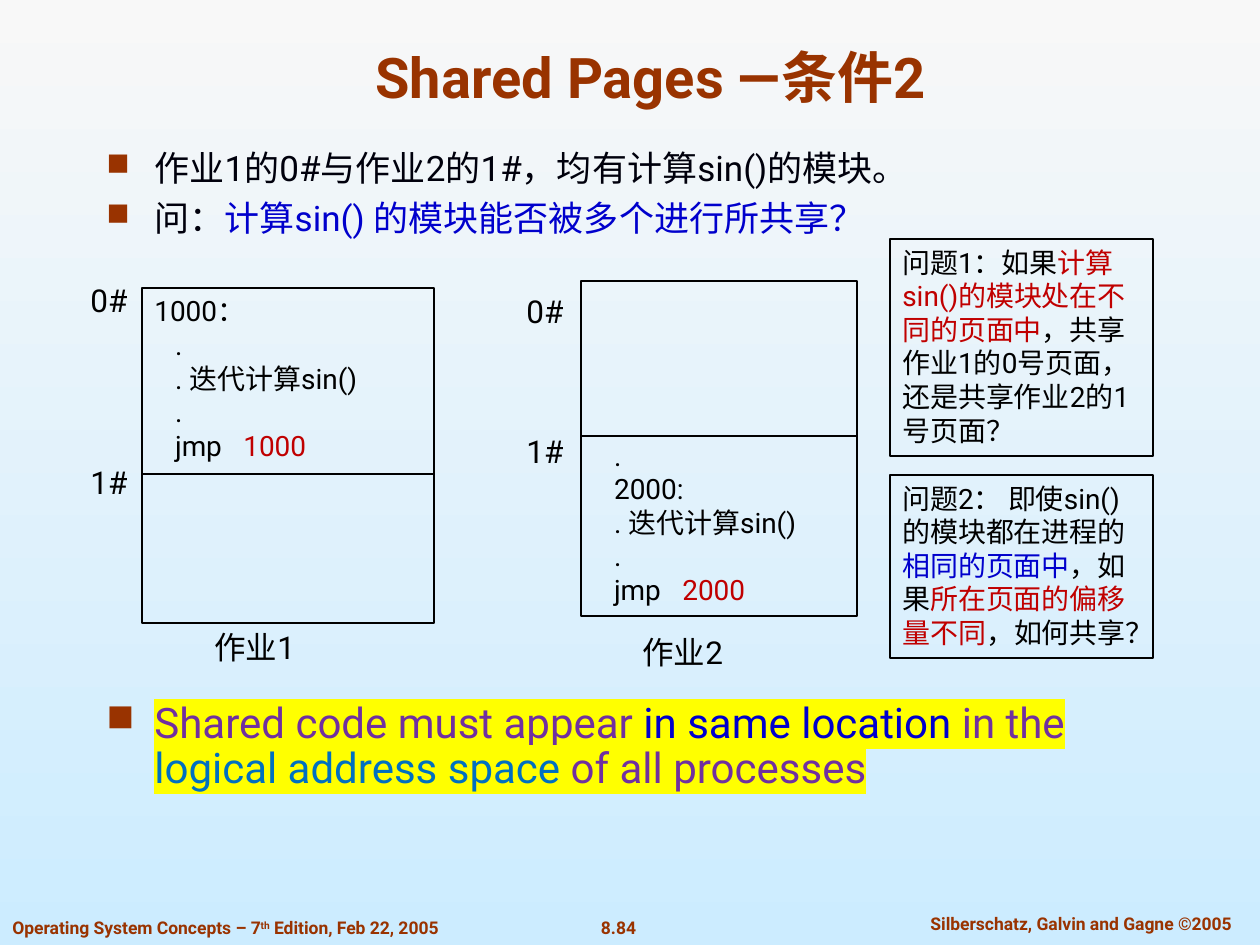
import pptx
import pptx.util
import pptx.dml.color
import pptx.enum.shapes
import pptx.enum.text
import pptx.oxml
import pptx.oxml.ns
import lxml.etree

SCALE = 914400 / 126
HUE = {
    "rust": "993300", "black": "000000", "ink": "00000C", "blue": "0000CC",
    "red": "C00000", "plum": "7030A0", "teal": "0070C0", "glow": "FFFF00",
    "top": "F8F8F8", "base": "CCECFF",
}
ALIGN = pptx.enum.text.PP_ALIGN
ANCHOR = pptx.enum.text.MSO_ANCHOR
KIND = pptx.enum.shapes.MSO_SHAPE
qn = pptx.oxml.ns.qn


def px(num):
    return pptx.util.Emu(round(num * SCALE))


def rgb(name):
    return pptx.dml.color.RGBColor.from_string(HUE[name])


def add_node(root, tag, **attrs):
    return lxml.etree.SubElement(root, qn(tag), **attrs)


def add_run(para, text, size, hue, bold=False, mark=None, rise=None):
    run = para.add_run()
    run.text = text
    font = run.font
    font.size = pptx.util.Pt(size)
    font.bold = bold
    font.color.rgb = rgb(hue)
    font.name = "Roboto"
    props = font._element
    if mark:
        glow = lxml.etree.Element(qn("a:highlight"))
        add_node(glow, "a:srgbClr", val=HUE[mark])
        props.find(qn("a:latin")).addprevious(glow)
    if rise:
        props.set("baseline", str(rise * 1000))


def fill_text(frame, paras, size, align=ALIGN.LEFT, **style):
    frame.word_wrap = True
    for idx, runs in enumerate(paras):
        para = frame.paragraphs[0] if idx == 0 else frame.add_paragraph()
        para.alignment = align
        for text, hue, *rise in runs:
            add_run(para, text, size, hue, rise=rise[0] if rise else None, **style)
    return frame


def add_text(slide, box, paras, size, **style):
    shape = slide.shapes.add_textbox(*map(px, box))
    return fill_text(shape.text_frame, paras, size, **style)


def add_frame(slide, box):
    shape = slide.shapes.add_shape(KIND.RECTANGLE, *map(px, box))
    shape.shadow.inherit = False
    shape.fill.background()
    shape.line.color.rgb = rgb("black")
    shape.line.width = pptx.util.Pt(0.75)
    shape.text_frame.vertical_anchor = ANCHOR.TOP
    return shape


def add_rule(slide, left, top, wide):
    kind = pptx.enum.shapes.MSO_CONNECTOR.STRAIGHT
    line = slide.shapes.add_connector(kind, px(left), px(top), px(left + wide), px(top))
    line.line.color.rgb = rgb("black")
    line.line.width = pptx.util.Pt(0.75)
    add_node(line._element.spPr, "a:effectLst")


def add_back(slide):
    fill = slide.background.fill
    fill.gradient()
    fill.gradient_angle = 270
    for stop, hue in zip(fill.gradient_stops, ("top", "base")):
        stop.color.rgb = rgb(hue)


def add_title(slide, box, text):
    frame = add_text(slide, box, [[(text, "rust")]], 32, align=ALIGN.CENTER, bold=True)
    frame.vertical_anchor = ANCHOR.BOTTOM


def add_points(slide, box, paras, size, mark=None):
    frame = add_text(slide, box, paras, size, mark=mark)
    for idx, para in enumerate(frame.paragraphs):
        para.line_spacing = 0.9
        if idx:
            para.space_before = pptx.util.Pt(round(size * 0.35))
        props = para._element.get_or_add_pPr()
        props.set("marL", str(px(48)))
        props.set("indent", str(-px(48)))
        tint = add_node(props, "a:buClr")
        add_node(tint, "a:srgbClr", val=HUE["rust"])
        add_node(props, "a:buSzPct", val="90000")
        add_node(props, "a:buChar", char="■")


def add_job(slide, box, split, lines, pad, tags, name):
    left, top, wide, _ = box
    frame = add_frame(slide, box).text_frame
    frame.margin_top = px(pad)
    fill_text(frame, lines, 16)
    stops = add_node(frame.paragraphs[-1]._element.get_or_add_pPr(), "a:tabLst")
    add_node(stops, "a:tab", pos=str(px(89)), algn="l")
    add_rule(slide, left, top + split, wide)
    gap, *drops = tags
    for idx, drop in enumerate(drops):
        add_text(slide, (left - gap, top + drop, 73, 50), [[(f"{idx}#", "black")]], 18)
    text, right, down = name
    add_text(slide, (left + right, top + down, 151, 50), [[(text, "black")]], 18)


def add_note(slide, box, runs):
    fill_text(add_frame(slide, box).text_frame, [runs], 16)


def add_foot(slide, box):
    left, top, wide, high = box
    mid = ALIGN.CENTER
    title = [("Operating System Concepts – 7", "rust"), ("th", "rust", 30),
             (" Edition, Feb 22, 2005", "rust")]
    parts = [
        ((left, top + 4, 530, high), title, ALIGN.LEFT),
        ((left + 585, top + 4, 67, high), [("8.84", "rust")], mid),
        ((left + wide - 374, top, 374, high),
         [("Silberschatz, Galvin and Gagne ©2005", "rust")], mid),
    ]
    for spot, runs, align in parts:
        add_text(slide, spot, [runs], 10, align=align, bold=True)


def get_code(start):
    return [
        [("   . 迭代计算sin()", "black")],
        [("   .", "black")],
        [("   jmp\t", "black"), (start, "red")],
    ]


def main():
    deck = pptx.Presentation()
    deck.slide_width, deck.slide_height = px(1260), px(945)
    slide = deck.slides.add_slide(deck.slide_layouts[6])
    add_back(slide)
    add_foot(slide, (0, 907, 1268, 34))
    add_title(slide, (94, 32, 1113, 84), "Shared Pages —条件2")
    add_points(slide, (94, 145, 1028, 105), [
        [("作业1的0#与作业2的1#，均有计算sin()的模块。", "ink")],
        [("问：", "ink"), ("计算sin() 的模块能否被多个进行所共享？", "blue")],
    ], 20)
    dot = [("   .", "black")]
    add_job(slide, (142, 288, 292, 335), 186,
            [[("1000：", "black")], dot] + get_code("1000"),
            6, (64, -13, 169), ("作业1", 60, 334))
    add_job(slide, (581, 281, 276, 335), 155,
            [dot, [("   2000:", "black")]] + get_code("2000"),
            157, (67, 5, 145), ("作业2", 49, 346))
    add_note(slide, (890, 239, 263, 217), [
        ("问题1：如果", "black"), ("计算sin()的模块处在不同的页面中", "red"),
        ("，共享作业1的0号页面，还是共享作业2的1号页面？", "black"),
    ])
    add_note(slide, (890, 475, 263, 183), [
        ("问题2： 即使sin()的模块都在进程的", "black"), ("相同的页面中", "blue"),
        ("，如果", "black"), ("所在页面的偏移量不同", "red"), ("，如何共享？", "black"),
    ])
    add_points(slide, (94, 696, 1028, 127), [[
        ("Shared code must appear ", "plum"), ("in same location ", "blue"),
        ("in the ", "plum"), ("logical address space ", "teal"),
        ("of all processes", "plum"),
    ]], 24, mark="glow")
    deck.save("out.pptx")


if __name__ == "__main__":
    main()
